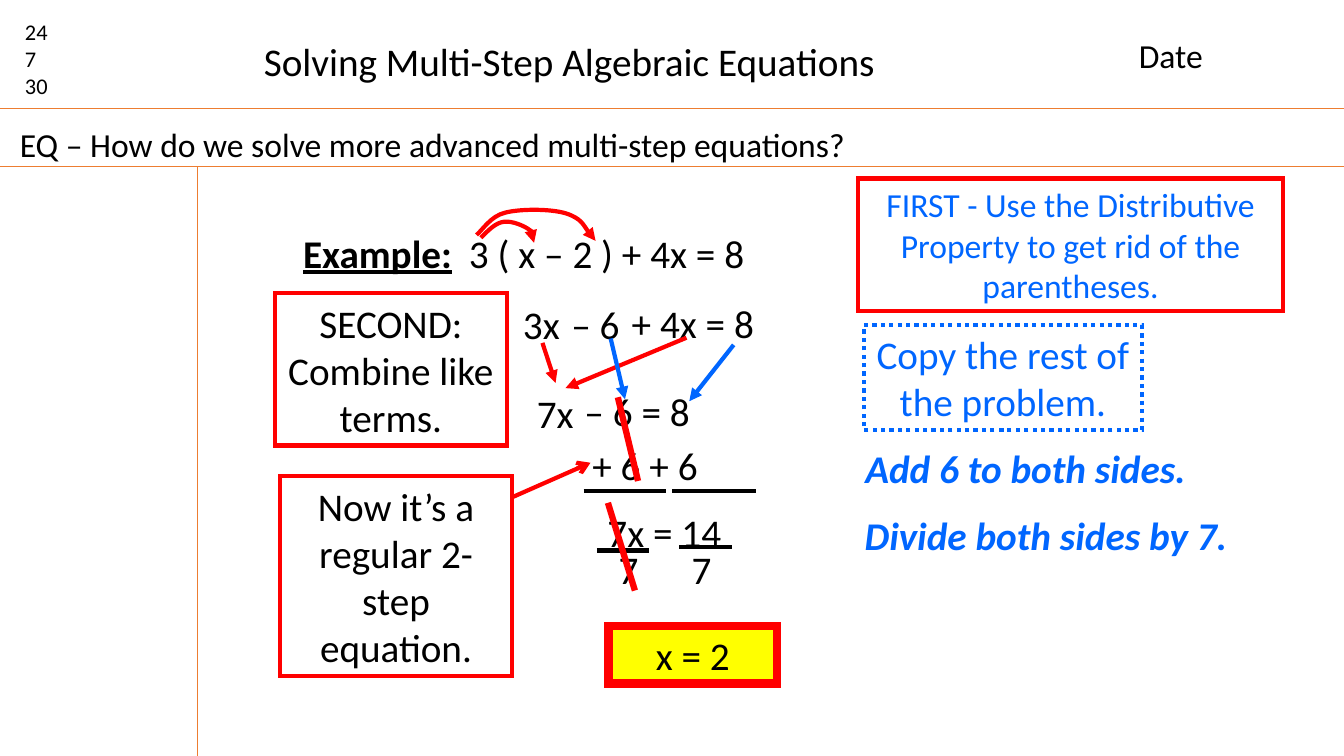
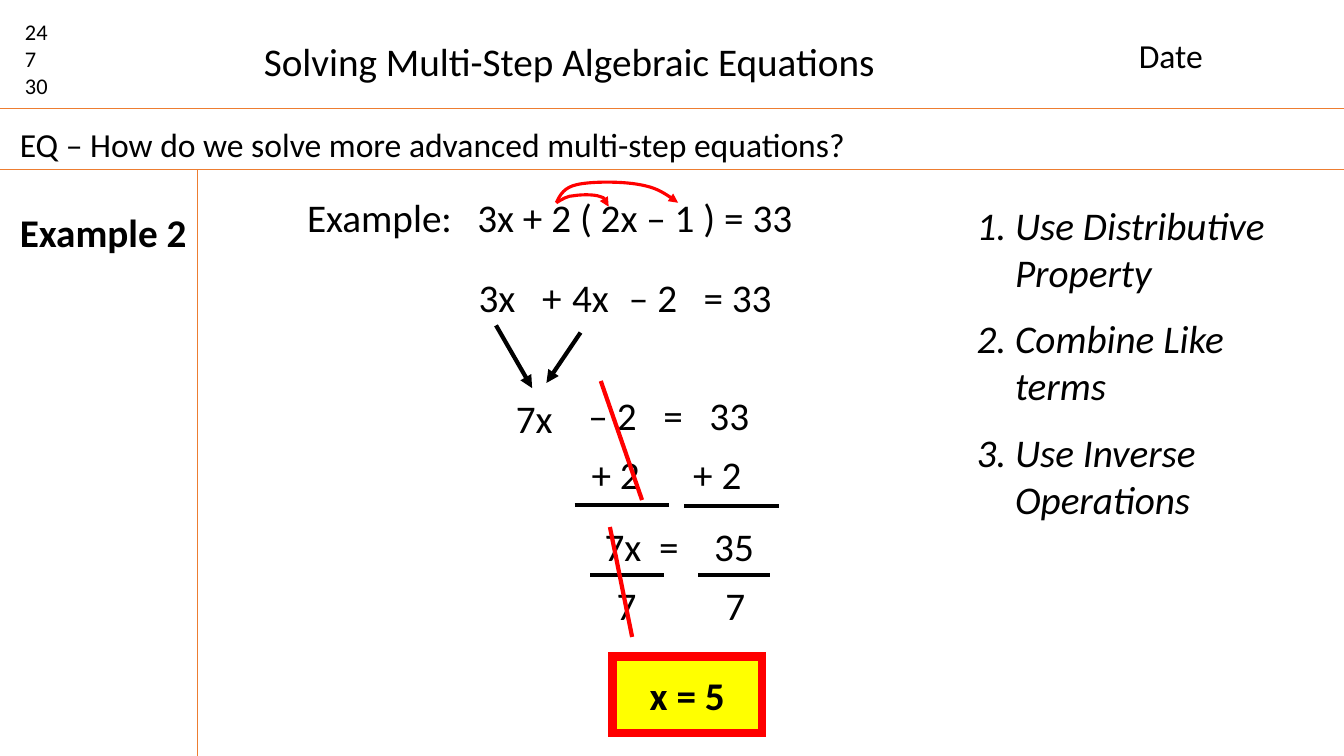
from dataclasses import dataclass, field
from typing import Any

import lxml.etree
import pptx
import pptx.dml.color
import pptx.enum.dml
import pptx.enum.shapes
import pptx.enum.text
import pptx.oxml.ns
import pptx.util
from pptx.util import Cm

BLACK, RED, BLUE, ORANGE, YELLOW = "000000", "FF0000", "0066FF", "ED7D31", "FFFF00"
WIDTH, HEIGHT = 33.87, 19.05
LINE_HEIGHT = 1.45
STEP_INDENT = 0.97
LEFT = pptx.enum.text.PP_ALIGN.LEFT
CENTER = pptx.enum.text.PP_ALIGN.CENTER
TOP = pptx.enum.text.MSO_ANCHOR.TOP
MIDDLE = pptx.enum.text.MSO_ANCHOR.MIDDLE
FIXED = pptx.enum.text.MSO_AUTO_SIZE.NONE
GROW = pptx.enum.text.MSO_AUTO_SIZE.SHAPE_TO_FIT_TEXT

LABEL = {"bold": True, "underline": True}
STRONG = {"bold": True}
HINT = {"bold": True, "italic": True}
Point = tuple[float, float]


@dataclass
class Writing:
    words: str
    left: float
    top: float
    width: float
    height: float = LINE_HEIGHT
    size: float = 28
    color: str = BLACK
    style: dict[str, Any] = field(default_factory=dict)
    stops: tuple[float, ...] = ()
    label: str = ""


@dataclass
class Box:
    writing: Writing
    border: str = RED
    weight: float = 3
    fill: str = ""
    dotted: bool = False


@dataclass
class Stroke:
    start: Point
    end: Point
    color: str = BLACK
    weight: float = 3
    arrow: str = ""


@dataclass
class Arc:
    points: list[Point]
    weight: float


def rgb(color: str) -> pptx.dml.color.RGBColor:
    return pptx.dml.color.RGBColor.from_string(color)


def add_tag(parent: Any, tag: str, **values: str) -> Any:
    return lxml.etree.SubElement(parent, pptx.oxml.ns.qn(tag), **values)


def set_all(target: Any, values: dict[str, Any]) -> None:
    for name, value in values.items():
        setattr(target, name, value)


def add_run(paragraph: Any, words: str, item: Writing, style: dict[str, Any]) -> None:
    run = paragraph.add_run()
    run.text = words
    set_all(run.font, {"name": "Calibri", "size": pptx.util.Pt(item.size), **style})
    run.font.color.rgb = rgb(item.color)


def write(shape: Any, item: Writing, align: Any = LEFT, anchor: Any = TOP, fit: Any = FIXED) -> None:
    frame = shape.text_frame
    set_all(frame, {
        "word_wrap": True, "auto_size": fit, "vertical_anchor": anchor,
        "margin_left": Cm(0.25), "margin_right": Cm(0.25),
        "margin_top": Cm(0.13), "margin_bottom": Cm(0.13),
    })
    for index, words in enumerate(item.words.split("\n")):
        paragraph = frame.add_paragraph() if index else frame.paragraphs[0]
        set_all(paragraph, {"alignment": align, "space_before": pptx.util.Pt(0)})
        if item.stops:
            tabs = add_tag(paragraph._p.get_or_add_pPr(), "a:tabLst")
            for stop in item.stops:
                add_tag(tabs, "a:tab", pos=str(int(Cm(stop))), algn="l")
        if item.label:
            add_run(paragraph, item.label, item, LABEL)
        add_run(paragraph, words, item, item.style)


def place(shape: Any, item: Writing) -> None:
    for name in ("left", "top", "width", "height"):
        setattr(shape, name, Cm(getattr(item, name)))


def draw_writing(slide: Any, item: Writing) -> None:
    area = [Cm(value) for value in (item.left, item.top, item.width, item.height)]
    write(slide.shapes.add_textbox(*area), item, fit=GROW)


def outline(line: Any, color: str, weight: float, arrow: str = "") -> None:
    line.color.rgb = rgb(color)
    line.width = pptx.util.Pt(weight)
    if arrow:
        add_tag(line._get_or_add_ln(), "a:tailEnd", type=arrow)


def draw_box(slide: Any, box: Box) -> None:
    rectangle = slide.shapes.add_shape(pptx.enum.shapes.MSO_SHAPE.RECTANGLE, 0, 0, 0, 0)
    place(rectangle, box.writing)
    rectangle.shadow.inherit = False
    if box.fill:
        rectangle.fill.solid()
        rectangle.fill.fore_color.rgb = rgb(box.fill)
    else:
        rectangle.fill.background()
    outline(rectangle.line, box.border, box.weight)
    if box.dotted:
        rectangle.line.dash_style = pptx.enum.dml.MSO_LINE.ROUND_DOT
    add_tag(rectangle.line._get_or_add_ln(), "a:miter", lim="800000")
    write(rectangle, box.writing, CENTER, MIDDLE)


def draw_stroke(slide: Any, stroke: Stroke) -> None:
    ends = [Cm(value) for value in (*stroke.start, *stroke.end)]
    connector = slide.shapes.add_connector(pptx.enum.shapes.MSO_CONNECTOR.STRAIGHT, *ends)
    outline(connector.line, stroke.color, stroke.weight, stroke.arrow)
    add_tag(connector._element.spPr, "a:effectLst")


def draw_arc(slide: Any, arc: Arc) -> None:
    points = [(Cm(x), Cm(y)) for x, y in arc.points]
    builder = slide.shapes.build_freeform(*points[0])
    builder.add_line_segments(points[1:], close=False)
    curve = builder.convert_to_shape()
    route = next(curve._element.iter(pptx.oxml.ns.qn("a:path")))
    for index, segment in enumerate(route.findall(pptx.oxml.ns.qn("a:lnTo"))):
        if index % 3 == 0:
            bezier = add_tag(route, "a:cubicBezTo")
        bezier.append(segment[0])
        route.remove(segment)
    curve.shadow.inherit = False
    curve.fill.background()
    outline(curve.line, RED, arc.weight, "triangle")


def bar(left: float, right: float, height: float) -> Stroke:
    return Stroke((left, height), (right, height))


def draw_frame(slide: Any, question_rule: float) -> None:
    heading = Writing("Solving Multi-Step Algebraic Equations", 6.4, 0.81, 16.08)
    place(slide.shapes.title, heading)
    write(slide.shapes.title, heading)
    for start, end in (
        ((0, 2.72), (WIDTH, 2.72)),
        ((0, question_rule), (WIDTH, question_rule)),
        ((4.98, question_rule), (4.98, HEIGHT)),
    ):
        draw_stroke(slide, Stroke(start, end, ORANGE, 0.5))
    for item in (
        Writing("24\n7\n30", 0.38, 0.33, 1.6, 2.31, 16),
        Writing("Date", 28.45, 0.76, 4.39, 1.27, 24),
        Writing("EQ – How do we solve more advanced multi-step equations?", 0.25, 3, 29.46, 1.27, 24),
    ):
        draw_writing(slide, item)


def draw_steps(slide: Any, steps: Writing) -> None:
    body = slide.placeholders[1]
    place(body, steps)
    write(body, steps)
    for index, paragraph in enumerate(body.text_frame.paragraphs):
        paragraph.space_before = pptx.util.Pt(14 if index else 0)
        properties = paragraph._p.get_or_add_pPr()
        properties.set("marL", str(int(Cm(STEP_INDENT))))
        properties.set("indent", str(-int(Cm(STEP_INDENT))))
        add_tag(properties, "a:buFont", typeface="+mj-lt")
        add_tag(properties, "a:buAutoNum", type="arabicPeriod")


def draw_work(slide: Any, boxes: list[Box], writings: list[Writing],
              arcs: list[Arc], strokes: list[Stroke]) -> None:
    for draw, items in ((draw_box, boxes), (draw_writing, writings),
                        (draw_arc, arcs), (draw_stroke, strokes)):
        for item in items:
            draw(slide, item)


def draw_first_example(deck: Any) -> None:
    slide = deck.slides.add_slide(deck.slide_layouts[5])
    draw_frame(slide, 4.19)
    boxes = [
        Box(Writing("FIRST - Use the Distributive Property to get rid of the parentheses.",
                    21.62, 4.5, 10.72, 3.33, 24, BLUE)),
        Box(Writing("Copy the rest of the problem.", 21.77, 8.2, 7.01, 2.64, color=BLUE),
            BLUE, dotted=True),
        Box(Writing("SECOND: Combine like terms.", 6.93, 7.39, 5.84, 3.84)),
        Box(Writing("Now it’s a regular 2-step equation.", 7.06, 11.99, 5.84, 5.05)),
        Box(Writing("x = 2", 15.34, 15.77, 4.24), weight=6, fill=YELLOW),
    ]
    writings = [
        Writing("\t3 ( x – 2 ) + 4x = 8", 7.39, 5.64, 17.96, stops=(4.18,), label="Example:"),
        Writing("3x", 12.93, 7.44, 2.62),
        Writing("– 6", 14.15, 7.44, 2.59),
        Writing("+ 4x = 8", 15.67, 7.42, 5.51),
        Writing("7x", 13.28, 9.68, 2.49),
        Writing("– 6 = 8", 14.48, 9.63, 6.6),
        Writing("+ 6 + 6", 14.68, 11, 5.23),
        Writing("7x = 14", 15.06, 12.67, 4.42),
        Writing("7\t7", 15.34, 13.61, 5.08, stops=(1.84,)),
        Writing("Add 6 to both sides.", 21.56, 11.07, 9.47, color=BLUE, style=HINT),
        Writing("Divide both sides by 7.", 21.54, 12.75, 10.36, color=BLUE, style=HINT),
    ]
    arcs = [
        Arc([(12.12, 5.99), (12.32, 5.79), (12.5, 5.61), (12.7, 5.59), (12.9, 5.56),
             (13.21, 5.69), (13.34, 5.79), (13.46, 5.87), (13.46, 5.99), (13.46, 6.12)], 3),
        Arc([(12.01, 5.92), (12.14, 5.82), (12.37, 5.44), (12.73, 5.36), (13.11, 5.26),
             (13.89, 5.26), (14.27, 5.38), (14.66, 5.51), (14.86, 5.92), (15.01, 6.07)], 3),
    ]
    strokes = [
        Stroke((13.67, 8.64), (14, 9.65), RED, arrow="triangle"),
        Stroke((17.3, 8.51), (14.25, 9.78), RED, arrow="triangle"),
        Stroke((15.39, 8.53), (15.75, 10.06), BLUE, arrow="triangle"),
        Stroke((18.49, 8.69), (17.37, 10.11), BLUE, arrow="triangle"),
        bar(14.71, 16.79, 12.37),
        bar(16.94, 19.05, 12.37),
        bar(15.04, 16.36, 13.87),
        bar(17.12, 18.44, 13.79),
        Stroke((12.93, 12.52), (14.88, 11.66), RED, arrow="arrow"),
        Stroke((15.57, 10.01), (16.08, 12.12), RED, 4.5),
        Stroke((15.32, 12.67), (16, 14.88), RED, 4.5),
    ]
    draw_work(slide, boxes, writings, arcs, strokes)


def draw_second_example(deck: Any) -> None:
    slide = deck.slides.add_slide(deck.slide_layouts[1])
    draw_frame(slide, 4.27)
    draw_steps(slide, Writing("Use Distributive Property\nCombine Like terms\nUse Inverse Operations",
                              24.36, 4.93, 8.38, 8.64, style={"italic": True}))
    boxes = [Box(Writing("x = 5", 15.44, 16.54, 3.76, 1.93, style=STRONG), weight=6, fill=YELLOW)]
    writings = [
        Writing("Example 2", 0.25, 5.13, 4.72, 2.64, style=STRONG),
        Writing("Example:\t3x + 2 ( 2x – 1 ) = 33", 7.49, 4.75, 17.93, stops=(4.29,)),
        Writing("3x\t+\t= 33", 11.81, 6.76, 10.64, stops=(1.6, 5.67)),
        Writing("4x", 14.17, 6.76, 1.63),
        Writing("– 2", 15.6, 6.76, 2.31),
        Writing("7x", 12.75, 9.8, 2.13),
        Writing("– 2\t=\t33", 14.58, 9.73, 6.58, stops=(1.89, 3.05)),
        Writing("+ 2\t+ 2", 14.66, 11.23, 5.89, stops=(2.56,)),
        Writing("7x\t=\t35", 14.99, 13.03, 5, stops=(1.37, 2.76)),
        Writing("7\t7", 15.29, 14.53, 3.96, stops=(2.74,)),
    ]
    arcs = [
        Arc([(14.02, 5.11), (14.15, 5.03), (14.3, 4.93), (14.48, 4.93), (14.66, 4.9),
             (14.99, 4.9), (15.11, 4.95), (15.27, 5), (15.29, 5.11), (15.34, 5.21)], 2.25),
        Arc([(14.02, 5.11), (14.12, 4.9), (14.22, 4.72), (14.55, 4.65), (14.91, 4.57),
             (15.67, 4.57), (16.1, 4.65), (16.51, 4.72), (16.81, 4.9), (17.09, 5.11)], 2.25),
    ]
    strokes = [
        Stroke((12.5, 8.2), (13.41, 9.78), arrow="triangle"),
        Stroke((14.63, 8.38), (13.77, 9.65), arrow="triangle"),
        bar(14.48, 16.87, 12.73),
        bar(17.25, 19.63, 12.75),
        bar(14.88, 16.74, 14.48),
        bar(17.6, 19.41, 14.48),
        Stroke((15.14, 9.6), (16.18, 12.6), RED),
        Stroke((15.37, 13.28), (15.93, 16.05), RED),
    ]
    draw_work(slide, boxes, writings, arcs, strokes)


def main() -> None:
    deck = pptx.Presentation()
    set_all(deck, {"slide_width": Cm(WIDTH), "slide_height": Cm(HEIGHT)})
    draw_first_example(deck)
    draw_second_example(deck)
    deck.save("out.pptx")


if __name__ == "__main__":
    main()
